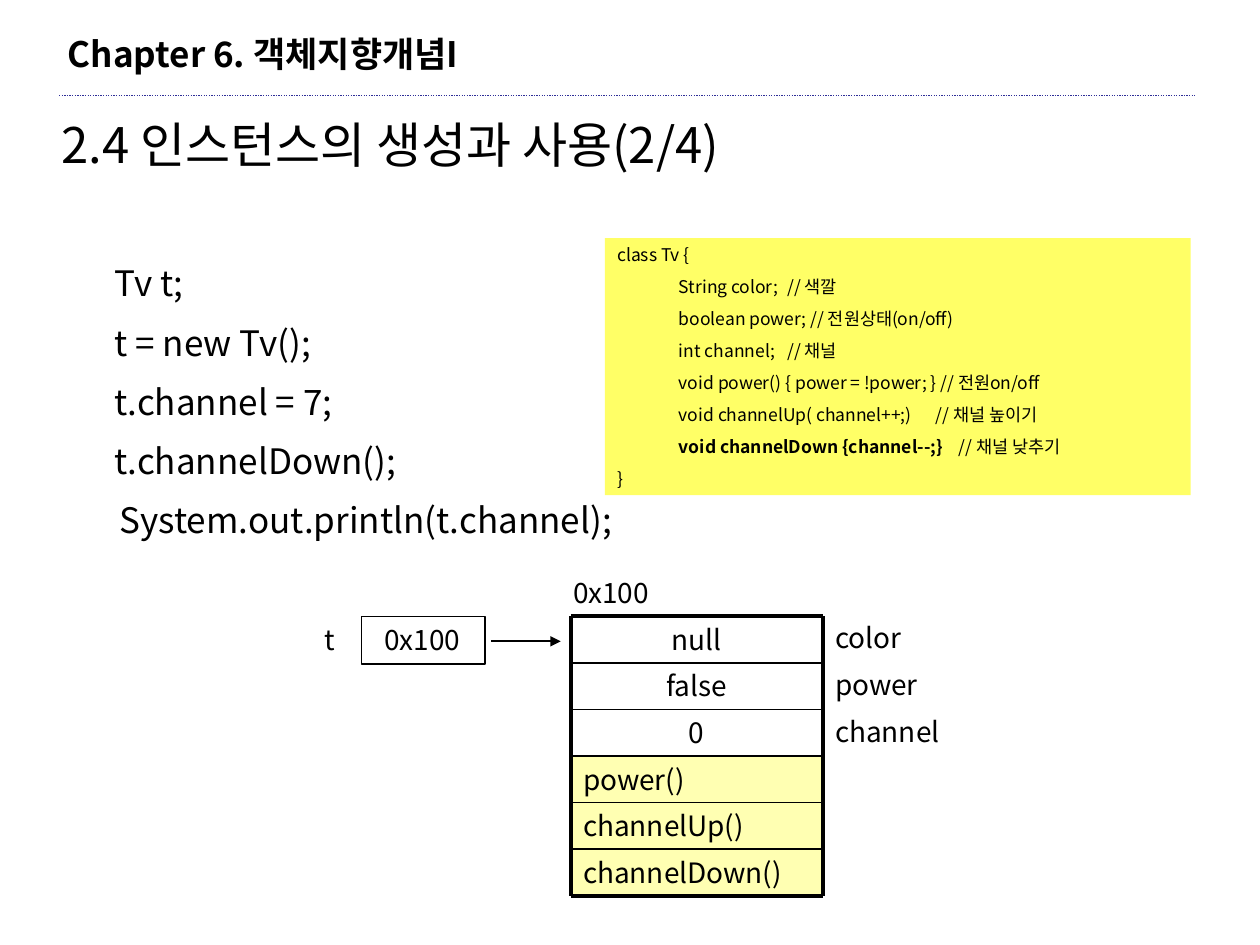
"""Build the slide on creating and using a Tv instance."""
import pptx
import pptx.dml.color
import pptx.enum.dml
import pptx.enum.shapes
import pptx.enum.text
import pptx.oxml.ns
import pptx.util
from lxml import etree

FONT = "Noto Sans CJK KR"
BLACK = pptx.dml.color.RGBColor(0x00, 0x00, 0x00)
NAVY = pptx.dml.color.RGBColor(0x2F, 0x2F, 0x98)
YELLOW = pptx.dml.color.RGBColor(0xFF, 0xFF, 0x66)
ALIGN = pptx.enum.text.PP_ALIGN

CHAPTER = "Chapter 6. 객체지향개념I"
TITLE = "2.4 인스턴스의 생성과 사용(2/4)"
STATEMENTS = [
    ("Tv t;", 0.81, 1.69),
    ("t = new Tv();", 0.81, 2.52),
    ("t.channel = 7;", 0.81, 2.8),
    ("t.channelDown();", 0.81, 3.07),
    ("System.out.println(t.channel);", 0.85, 5.59),
]
CODE = [
    ("class Tv {", "", None, False),
    ("\tString color;", "\t// 색깔", 1.35, False),
    ("\tboolean power;", " // 전원상태(on/off)", None, False),
    ("\tint channel;", "\t// 채널", 1.35, False),
    ("\tvoid power() { power = !power; }", " // 전원on/off", None, False),
    ("\tvoid channelUp( channel++;)", "\t// 채널 높이기", 2.53, False),
    ("\tvoid channelDown {channel--;}", "\t// 채널 낮추기", 2.71, True),
    ("}", "", None, False),
]
FIELDS = [("null", "color", 1.02), ("false", "power", 1.02), ("0", "channel", 1.26)]
METHODS = ["power()", "channelUp()", "channelDown()"]
ADDRESS = "0x100"

CODE_INDENT = 0.49
STATEMENT_TOP, STATEMENT_PITCH = 2.03, 0.47
MEMORY_LEFT, MEMORY_TOP, MEMORY_WIDTH, ROW = 4.53, 4.89, 2.0, 0.37
MEMORY_RIGHT = MEMORY_LEFT + MEMORY_WIDTH
MEMORY_BOTTOM = MEMORY_TOP + ROW * (len(FIELDS) + len(METHODS))


def inches(*lengths):
    return [pptx.util.Inches(round(length, 2)) for length in lengths]


def add_run(paragraph, text, size, bold=False):
    run = paragraph.add_run()
    run.text = text
    run.font.size = pptx.util.Pt(size)
    run.font.bold = bold
    run.font.name = FONT
    run.font.color.rgb = BLACK
    properties = run.font._element
    etree.SubElement(properties, pptx.oxml.ns.qn("a:ea"), typeface=FONT)


def add_text(slide, text, box, size=16, bold=False, align=ALIGN.LEFT, shape=None, grow=True):
    shape = shape or slide.shapes.add_textbox(*inches(*box))
    frame = shape.text_frame
    frame.word_wrap = True
    frame.vertical_anchor = pptx.enum.text.MSO_ANCHOR.TOP
    sizing = pptx.enum.text.MSO_AUTO_SIZE
    frame.auto_size = sizing.SHAPE_TO_FIT_TEXT if grow else sizing.NONE
    paragraph = frame.paragraphs[0]
    paragraph.alignment = align
    if text:
        add_run(paragraph, text, size, bold)
    return frame


def add_rectangle(slide, box, fill=None, opacity=None, line_width=None):
    shape = slide.shapes.add_shape(pptx.enum.shapes.MSO_SHAPE.RECTANGLE, *inches(*box))
    shape.shadow.inherit = False
    if fill is None:
        shape.fill.background()
    else:
        shape.fill.solid()
        shape.fill.fore_color.rgb = fill
    if opacity is not None:
        color = shape._element.spPr.find(".//" + pptx.oxml.ns.qn("a:srgbClr"))
        etree.SubElement(color, pptx.oxml.ns.qn("a:alpha"), val=str(opacity * 1000))
    if line_width is None:
        shape.line.fill.background()
    else:
        shape.line.color.rgb = BLACK
        shape.line.width = pptx.util.Pt(line_width)
    return shape


def add_line(slide, ends, width, color=BLACK, dash=None, arrow=False):
    straight = pptx.enum.shapes.MSO_CONNECTOR.STRAIGHT
    connector = slide.shapes.add_connector(straight, *inches(*ends))
    connector.line.color.rgb = color
    connector.line.width = pptx.util.Pt(width)
    if dash is not None:
        connector.line.dash_style = dash
    if arrow:
        line = connector.line._get_or_add_ln()
        etree.SubElement(line, pptx.oxml.ns.qn("a:tailEnd"), type="triangle")
    etree.SubElement(connector._element.spPr, pptx.oxml.ns.qn("a:effectLst"))


def add_code(slide, box):
    panel = add_rectangle(slide, box, fill=YELLOW)
    frame = add_text(slide, "", box, shape=panel)
    for index, (code, comment, stop, bold) in enumerate(CODE):
        paragraph = frame.add_paragraph() if index else frame.paragraphs[0]
        paragraph.alignment = ALIGN.LEFT
        paragraph.space_before = pptx.util.Pt(6.2)
        tabs = etree.SubElement(paragraph._p.get_or_add_pPr(), pptx.oxml.ns.qn("a:tabLst"))
        for position in filter(None, (CODE_INDENT, stop)):
            place = str(pptx.util.Inches(position))
            etree.SubElement(tabs, pptx.oxml.ns.qn("a:tab"), pos=place, algn="l")
        add_run(paragraph, code, 10, bold)
        if comment:
            add_run(paragraph, comment, 10)


def add_memory(slide):
    for row, (value, name, name_width) in enumerate(FIELDS):
        top = MEMORY_TOP + row * ROW
        cell = (MEMORY_LEFT, top, MEMORY_WIDTH, ROW)
        add_text(slide, value, cell, align=ALIGN.CENTER, grow=False)
        add_text(slide, name, (MEMORY_RIGHT, top - 0.01, name_width, ROW))
    for row, method in enumerate(METHODS, len(FIELDS)):
        cell = (MEMORY_LEFT, MEMORY_TOP + row * ROW, MEMORY_WIDTH, ROW)
        shape = add_rectangle(slide, cell, fill=YELLOW, opacity=50)
        add_text(slide, method, cell, shape=shape, grow=False)
    rows = len(FIELDS) + len(METHODS)
    for row in range(rows + 1):
        y = MEMORY_TOP + row * ROW
        add_line(slide, (MEMORY_LEFT, y, MEMORY_RIGHT, y), 2.25 if row in (0, rows) else 1)
    for x in (MEMORY_LEFT, MEMORY_RIGHT):
        add_line(slide, (x, MEMORY_TOP, x, MEMORY_BOTTOM), 2.25)
    add_text(slide, ADDRESS, (4.45, MEMORY_TOP - ROW, 1.02, ROW))


def add_reference(slide):
    add_rectangle(slide, (2.87, MEMORY_TOP, 0.98, 0.38), line_width=0.75)
    add_text(slide, "t", (2.48, MEMORY_TOP, 1.04, ROW))
    add_text(slide, ADDRESS, (2.81, MEMORY_TOP, 1.08, ROW), align=ALIGN.CENTER)
    add_line(slide, (3.9, 5.09, 4.45, 5.09), 1, arrow=True)


def main():
    presentation = pptx.Presentation()
    presentation.slide_width, presentation.slide_height = inches(10, 7.5)
    slide = presentation.slides.add_slide(presentation.slide_layouts[6])
    dots = pptx.enum.dml.MSO_LINE.ROUND_DOT
    add_line(slide, (0.47, 0.76, 9.49, 0.76), 0.75, color=NAVY, dash=dots)
    add_text(slide, CHAPTER, (0.44, 0.21, 4.17, 0.44), size=20, bold=True)
    add_text(slide, TITLE, (0.39, 0.86, 8.5, 0.57), size=28)
    add_reference(slide)
    add_memory(slide)
    add_code(slide, (4.8, 1.89, 4.65, 2.04))
    for index, (statement, left, width) in enumerate(STATEMENTS):
        top = STATEMENT_TOP + index * STATEMENT_PITCH
        add_text(slide, statement, (left, top, width, 0.44), size=20)
    presentation.save("out.pptx")


if __name__ == "__main__":
    main()
